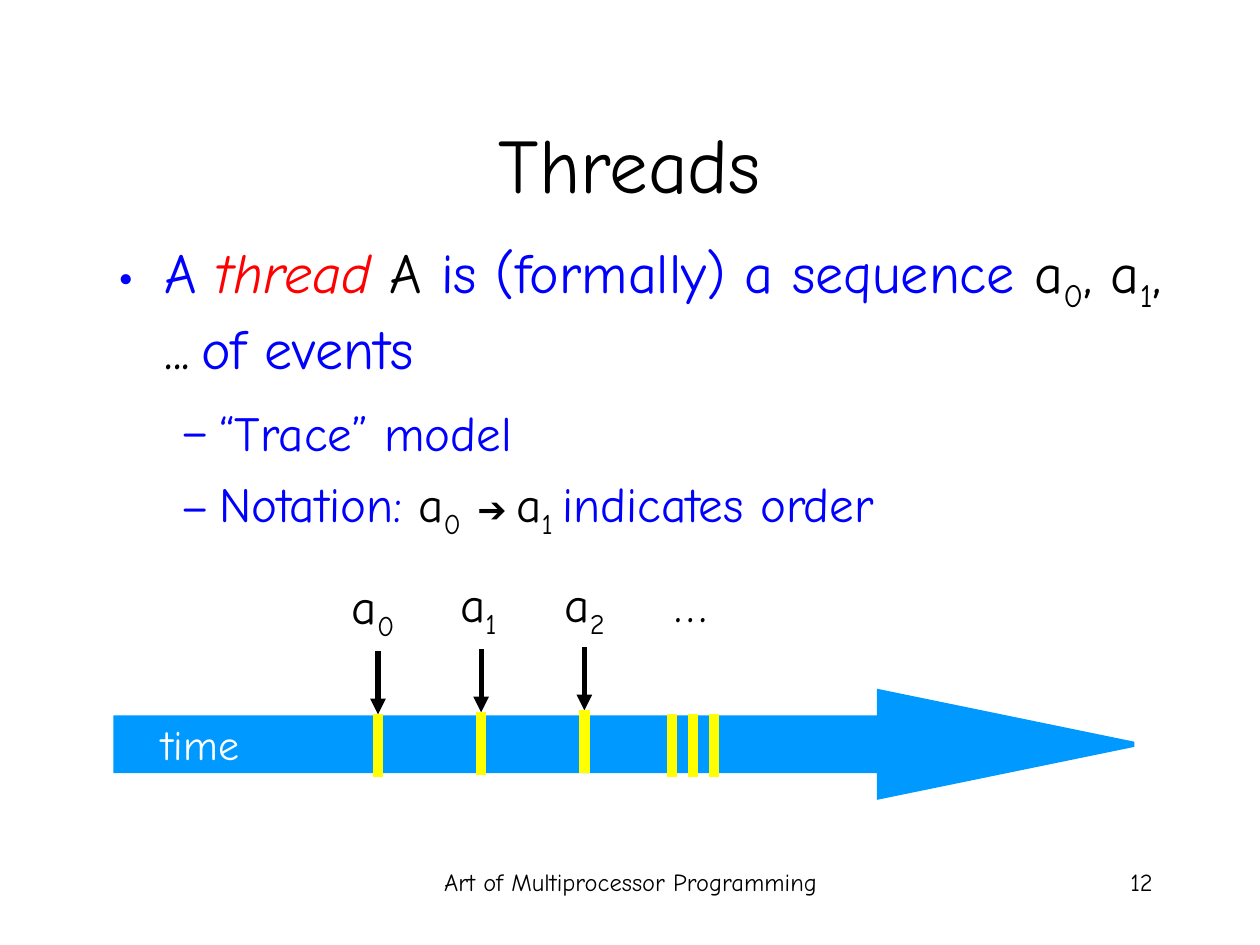
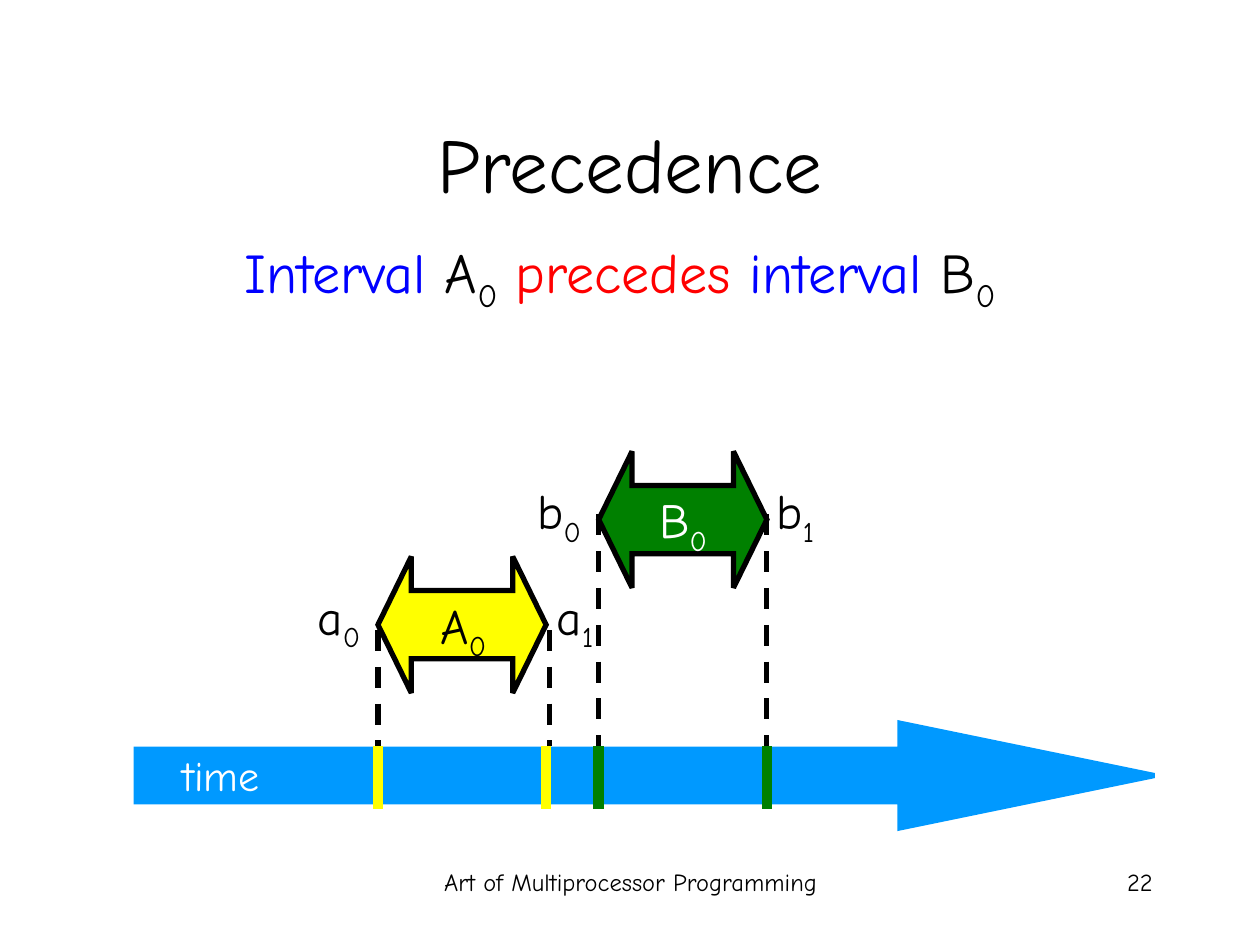
import pptx
import pptx.util
import pptx.dml.color
import pptx.enum.dml
import pptx.enum.shapes
import pptx.enum.text
import pptx.oxml
import pptx.oxml.ns

Cm = pptx.util.Cm
Pt = pptx.util.Pt
RGBColor = pptx.dml.color.RGBColor
SHAPE = pptx.enum.shapes.MSO_SHAPE
ALIGN = pptx.enum.text.PP_ALIGN
DASH = pptx.enum.dml.MSO_LINE.DASH

BLACK = RGBColor(0x00, 0x00, 0x00)
WHITE = RGBColor(0xFF, 0xFF, 0xFF)
BLUE = RGBColor(0x00, 0x00, 0xFF)
RED = RGBColor(0xFF, 0x00, 0x00)
YELLOW = RGBColor(0xFF, 0xFF, 0x00)
GREEN = RGBColor(0x00, 0x80, 0x00)
TIME_BLUE = RGBColor(0x00, 0x99, 0xFF)

FONT = "Comic Neue"
ARROW_FONT = "Arial"
TICK_HEIGHT = 1.27
LABEL_WIDTH = 2.0


def add_text(page, place, paragraphs, size, align=ALIGN.LEFT, wrap=True, bullets=()):
    """Add a text box at place (cm); paragraphs hold (text, colour, style) spans.

    Each bullet is (character, indent in cm, hang in cm, space before, text size).
    """
    box = page.shapes.add_textbox(*(Cm(length) for length in place))
    frame = box.text_frame
    frame.word_wrap = wrap
    for index, spans in enumerate(paragraphs):
        para = frame.paragraphs[0] if index == 0 else frame.add_paragraph()
        para.alignment = align
        para_size = size
        if bullets:
            character, indent, hang, space, para_size = bullets[index]
            if index:
                para.space_before = Pt(space)
            properties = para._p.get_or_add_pPr()
            properties.set("marL", str(Cm(indent)))
            properties.set("indent", str(-Cm(hang)))
            for tag in (f'buClr {{}}><a:srgbClr val="{BLUE}"/></a:buClr',
                        f'buFont {{}} typeface="{FONT}"/',
                        f'buChar {{}} char="{character}"/'):
                namespace = pptx.oxml.ns.nsdecls("a")
                properties.append(pptx.oxml.parse_xml(f"<a:{tag.format(namespace)}>"))
        para.font.name = FONT
        para.font.size = Pt(para_size)
        for text, colour, style in spans:
            span = para.add_run()
            span.text = text
            span.font.color.rgb = colour
            if style == "italic":
                span.font.italic = True
            elif style == "sub":
                span._r.get_or_add_rPr().set("baseline", "-25000")
            elif style == "arrow":
                span.font.name = ARROW_FONT
                span.font.size = Pt(20)
    return frame


def add_vertical(page, x, top, bottom, colour, width, dashed=False, arrow=False):
    """Draw a vertical line from top to bottom, all in cm."""
    line = page.shapes.add_connector(
        pptx.enum.shapes.MSO_CONNECTOR.STRAIGHT, Cm(x), Cm(top), Cm(x), Cm(bottom))
    line.line.color.rgb = colour
    line.line.width = Pt(width)
    if dashed:
        line.line.dash_style = DASH.DASH
    properties = line._element.spPr
    if arrow:
        tail = pptx.oxml.parse_xml(
            f'<a:tailEnd {pptx.oxml.ns.nsdecls("a")} type="triangle"/>')
        line.line._get_or_add_ln().append(tail)
    properties.append(pptx.oxml.parse_xml(
        f'<a:effectLst {pptx.oxml.ns.nsdecls("a")}/>'))


deck = pptx.Presentation()
deck.slide_width = Cm(25.4)
deck.slide_height = Cm(19.05)

# Title, footer and time arrow shared by both slides
pages = []
block_arrows = []
for title, number, time_left, time_top in (
        ("Threads", "12", 2.34, 13.95),
        ("Precedence", "22", 2.75, 14.58)):
    page = deck.slides.add_slide(deck.slide_layouts[6])
    pages.append(page)
    add_text(page, (8.69, 17.35, 8.05, 1.27),
             [[("Art of Multiprocessor Programming", BLACK, "")]], 14, ALIGN.CENTER)
    add_text(page, (18.2, 17.35, 5.29, 1.27), [[(number, BLACK, "")]], 14, ALIGN.RIGHT)
    frame = add_text(page, (1.9, 1.7, 21.6, 3.18), [[(title, BLACK, "")]], 44,
                     ALIGN.CENTER)
    frame.vertical_anchor = pptx.enum.text.MSO_ANCHOR.MIDDLE
    time_arrow = page.shapes.add_shape(
        SHAPE.RIGHT_ARROW, Cm(time_left), Cm(time_top), Cm(20.52), Cm(2.11))
    time_arrow.adjustments[0] = 0.5
    time_arrow.adjustments[1] = 2.43
    block_arrows.append((time_arrow, TIME_BLUE, TIME_BLUE))
    add_text(page, (time_left + 0.73 - 0.06, time_top + 0.41, 2.06, 1.27),
             [[("time", WHITE, "")]], 24, ALIGN.RIGHT, wrap=False)
threads, precedence = pages

# Threads: definition
add_text(threads, (2.12, 4.66, 21.6, 9.1), [
    [("A ", BLUE, ""), ("thread ", RED, "italic"), ("A", BLACK, ""),
     (" is (formally) a sequence ", BLUE, ""), ("a", BLACK, ""), ("0", BLACK, "sub"),
     (", a", BLACK, ""), ("1", BLACK, "sub"), (", ...", BLACK, ""),
     (" ", BLACK, "sub"), ("of events", BLUE, "")],
    [("“Trace” model", BLUE, "")],
    [("Notation: ", BLUE, ""), ("a", BLACK, ""), ("0", BLACK, "sub"),
     (" ", BLACK, ""), ("➔ ", BLACK, "arrow"), ("a", BLACK, ""),
     ("1 ", BLACK, "sub"), ("indicates order", BLUE, "")],
], 32, bullets=[("•", 0.95, 0.95, 8, 32)] + 2 * [("–", 2.06, 0.79, 7, 28)])

# Threads: events on the time arrow
for event, (label_right, label_top) in enumerate(
        ((8.2, 11.48), (10.26, 11.43), (12.44, 11.43))):
    x = 7.62 + 2.08 * event
    tick_top = 14.4 - 0.04 * event
    add_vertical(threads, x, tick_top - 1.27, tick_top, BLACK, 3, arrow=True)
    add_vertical(threads, x, tick_top, tick_top + TICK_HEIGHT, YELLOW, 6)
    add_text(threads, (label_right - LABEL_WIDTH, label_top, LABEL_WIDTH, 1.6),
             [[("a", BLACK, ""), (str(event), BLACK, "sub")]], 28, ALIGN.RIGHT)
for later_event in range(3):
    add_vertical(threads, 13.55 + 0.42 * later_event, 14.4, 14.4 + TICK_HEIGHT, YELLOW, 6)
add_text(threads, (14.51 - LABEL_WIDTH, 11.43, LABEL_WIDTH, 1.45),
         [[("…", BLACK, "")]], 28, ALIGN.RIGHT)

# Precedence: statement
add_text(precedence, (1.7, 4.66, 21.6, 2.75), [
    [("Interval ", BLUE, ""), ("A", BLACK, ""), ("0", BLACK, "sub"),
     (" precedes", RED, ""), (" interval ", BLUE, ""), ("B", BLACK, ""),
     ("0", BLACK, "sub")]], 32, ALIGN.CENTER)

# Precedence: intervals above the time arrow
INTERVAL_WIDTH = 3.39
TICK_TOP = 15.04
for name, left, top, dash_top, last_dash, fill, name_colour in (
        ("A", 7.62, 11.22, 12.7, 11.07, YELLOW, BLACK),
        ("B", 12.07, 9.1, 10.37, 15.45, GREEN, WHITE)):
    right = left + INTERVAL_WIDTH
    for x in (left, last_dash):
        add_vertical(precedence, x, dash_top, TICK_TOP, BLACK, 3, dashed=True)
    interval = precedence.shapes.add_shape(
        SHAPE.LEFT_RIGHT_ARROW, Cm(left), Cm(top), Cm(INTERVAL_WIDTH), Cm(2.75))
    interval.adjustments[0] = 0.5
    interval.adjustments[1] = 0.245
    block_arrows.append((interval, fill, BLACK))
    for x in (left, right):
        add_vertical(precedence, x, TICK_TOP, TICK_TOP + TICK_HEIGHT, fill, 6)
    for letter, index, label_right, drop, colour in (
            (name.lower(), "0", left - 0.11, 0.47, BLACK),
            (name.lower(), "1", right + 1.2, 0.47, BLACK),
            (name, "0", left + 2.43, 0.65, name_colour)):
        add_text(precedence, (label_right - LABEL_WIDTH, top + drop, LABEL_WIDTH, 1.6),
                 [[(letter, colour, ""), (index, colour, "sub")]], 28, ALIGN.RIGHT)

# Flat fill and sharp corners for every block arrow
for shape, fill, outline in block_arrows:
    shape.shadow.inherit = False
    shape.fill.solid()
    shape.fill.fore_color.rgb = fill
    shape.line.color.rgb = outline
    shape.line.width = Pt(3)
    shape.line._get_or_add_ln().append(pptx.oxml.parse_xml(
        f'<a:miter {pptx.oxml.ns.nsdecls("a")} lim="800000"/>'))

deck.save("out.pptx")
